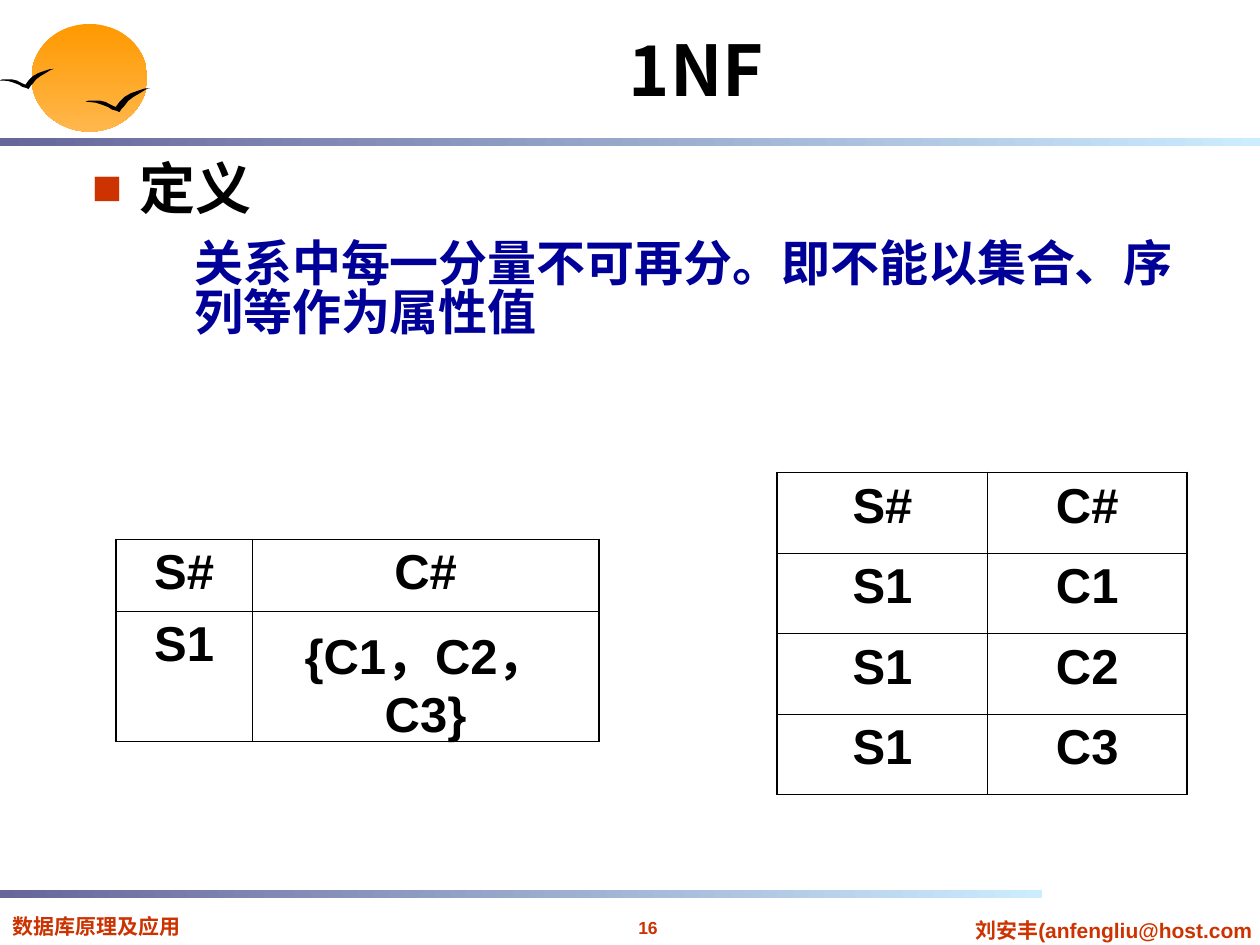
import dataclasses

import lxml.etree
import pptx
import pptx.dml.color
import pptx.enum.shapes
import pptx.enum.text
import pptx.oxml.ns
import pptx.util

Pt = pptx.util.Pt
RGB = pptx.dml.color.RGBColor.from_string
ALIGN = pptx.enum.text.PP_ALIGN
SHAPE = pptx.enum.shapes.MSO_SHAPE
qn = pptx.oxml.ns.qn


@dataclasses.dataclass(frozen=True)
class Theme:
    black: str = "000000"
    accent: str = "CC3300"
    definition: str = "000099"
    sun: tuple = ("FF9900", "FFB74C")
    bar: tuple = ("666699", "CCECFF")
    latin: str = "Arial"
    cjk: str = "Noto Sans CJK SC"
    title_size: int = 40
    heading_size: int = 32
    text_size: int = 28
    footer_size: int = 12
    number_size: int = 10
    outer_line: float = 1.08
    inner_line: float = 0.45


THEME = Theme()

# Outline of a gull, in points from its top left corner
GULL = [(0, 7.9), (1.4, 7.2), (5.8, 7.1), (8.6, 7.2), (11.5, 7.9), (14.4, 9.4),
        (17.3, 10.8), (19.4, 7.9), (22.3, 5), (25.9, 2.9), (30.2, 1.4), (33.8, 0.2),
        (36.7, 0), (34.6, 0.7), (31, 2.9), (27.4, 5), (24.5, 7.2), (22.3, 10.1),
        (20.9, 11.5), (19.4, 13.7), (18, 13), (15.1, 12.2), (13, 10.8), (9.4, 9.4),
        (5.8, 8.3), (2.2, 7.9)]


def add_gradient(page, kind, frame, colours, angle):
    shape = page.shapes.add_shape(kind, *map(Pt, frame))
    shape.shadow.inherit = False
    shape.line.fill.background()
    shape.fill.gradient()
    shape.fill.gradient_angle = angle
    for stop, colour in zip(shape.fill.gradient_stops, colours):
        stop.color.rgb = RGB(colour)


def add_gull(page, left, top, scale):
    outline = [(Pt(left + x * scale), Pt(top + y * scale)) for x, y in GULL]
    builder = page.shapes.build_freeform(*outline[0])
    builder.add_line_segments(outline[1:], close=True)
    gull = builder.convert_to_shape()
    gull.shadow.inherit = False
    gull.fill.solid()
    gull.fill.fore_color.rgb = RGB(THEME.black)
    gull.line.fill.background()


def write(para, text, size=THEME.text_size, colour=THEME.black, font=THEME.latin,
          align=ALIGN.LEFT):
    para.alignment = align
    span = para.add_run()
    span.text = text
    span.font.size = Pt(size)
    span.font.bold = True
    span.font.name = font
    span.font.color.rgb = RGB(colour)
    east_asian = lxml.etree.Element(qn("a:ea"), typeface=THEME.cjk)
    span.font.fill  # colour comes before the typefaces
    span.font._element.find(qn("a:latin")).addnext(east_asian)


def add_box(page, frame, wrap=True, anchor=pptx.enum.text.MSO_ANCHOR.TOP):
    text_frame = page.shapes.add_textbox(*map(Pt, frame)).text_frame
    text_frame.word_wrap = wrap
    text_frame.vertical_anchor = anchor
    return text_frame


def set_indent(para, left, hanging, bullet=None):
    properties = para._p.get_or_add_pPr()
    properties.set("marL", str(Pt(left)))
    properties.set("indent", str(-Pt(hanging)))
    if bullet is None:
        lxml.etree.SubElement(properties, qn("a:buNone"))
        return
    colour = lxml.etree.SubElement(properties, qn("a:buClr"))
    lxml.etree.SubElement(colour, qn("a:srgbClr"), val=THEME.accent)
    lxml.etree.SubElement(properties, qn("a:buSzPct"), val="90000")
    lxml.etree.SubElement(properties, qn("a:buFont"), typeface=THEME.latin)
    lxml.etree.SubElement(properties, qn("a:buChar"), char=bullet)


def set_borders(cell, outer_sides):
    properties = cell._tc.get_or_add_tcPr()
    for index, side in enumerate(("lnL", "lnR", "lnT", "lnB")):
        width = THEME.outer_line if side in outer_sides else THEME.inner_line
        line = lxml.etree.Element(qn("a:" + side), w=str(Pt(width)))
        fill = lxml.etree.SubElement(line, qn("a:solidFill"))
        lxml.etree.SubElement(fill, qn("a:srgbClr"), val=THEME.black)
        properties.insert(index, line)


def add_relation(page, left, top, widths, heights, rows):
    table = page.shapes.add_table(len(heights), len(widths), Pt(left), Pt(top),
                                  Pt(sum(widths)), Pt(sum(heights))).table
    table.first_row = table.horz_banding = False
    for column, width in zip(table.columns, widths):
        column.width = Pt(width)
    for row, height in zip(table.rows, heights):
        row.height = Pt(height)
    for i, values in enumerate(rows):
        for j, value in enumerate(values):
            cell = table.cell(i, j)
            cell.fill.background()
            edges = {"lnL": j == 0, "lnR": j == len(widths) - 1,
                     "lnT": i == 0, "lnB": i == len(heights) - 1}
            set_borders(cell, [side for side, outer in edges.items() if outer])
            write(cell.text_frame.paragraphs[0], value, align=ALIGN.CENTER)


def add_definition(page):
    body = add_box(page, (45.4, 87.8, 632.9, 130.3))
    body.margin_top = Pt(6.5)
    heading, definition = body.paragraphs[0], body.add_paragraph()
    heading.line_spacing = definition.line_spacing = 0.83
    definition.space_before = Pt(12.2)
    definition.level = 1
    set_indent(heading, 27, 27, bullet="■")
    set_indent(definition, 58.5, 22.5)
    write(heading, "定义", size=THEME.heading_size)
    write(definition, "\t关系中每一分量不可再分。即不能以集合、序列等作为属性值",
          colour=THEME.definition)


def main():
    deck = pptx.Presentation()
    deck.slide_width, deck.slide_height = Pt(720), Pt(540)
    page = deck.slides.add_slide(deck.slide_layouts[6])

    # Sun and gulls
    add_gradient(page, SHAPE.OVAL, (18, 13.7, 66.2, 61.5), THEME.sun, 270)
    add_gull(page, 0, 39.4, 0.84)
    add_gull(page, 48.8, 50.4, 1)

    # Footer
    footers = [
        ((548, 520.6, 177, 21.6), "刘安丰(anfengliu@host.com", THEME.footer_size, ALIGN.CENTER),
        ((339, 520.6, 62.6, 19.4), "16", THEME.number_size, ALIGN.CENTER),
        ((0, 518.4, 144, 21.6), "数据库原理及应用", THEME.footer_size, ALIGN.LEFT),
    ]
    for frame, text, size, align in footers:
        footer = add_box(page, frame, wrap=align == ALIGN.LEFT)
        write(footer.paragraphs[0], text, size=size, colour=THEME.accent, align=align)

    # Dividing bars
    for top, width in ((79.1, 720), (508.8, 595.4)):
        add_gradient(page, SHAPE.RECTANGLE, (0, top, width, 4.5), THEME.bar, 0)

    # Title and definition
    title = add_box(page, (90.7, 5, 614.2, 61.9), anchor=pptx.enum.text.MSO_ANCHOR.BOTTOM)
    write(title.paragraphs[0], "1NF", size=THEME.title_size, font=THEME.cjk,
          align=ALIGN.CENTER)
    add_definition(page)

    # Relation with a set as a value, and its first normal form
    add_relation(page, 66.2, 308.2, (78, 198), (41, 74.2),
                 [("S#", "C#"), ("S1", "{C1，C2，C3}")])
    add_relation(page, 444.2, 270, (120.2, 113.8), (46,) * 4,
                 [("S#", "C#"), ("S1", "C1"), ("S1", "C2"), ("S1", "C3")])

    deck.save("out.pptx")


if __name__ == "__main__":
    main()
